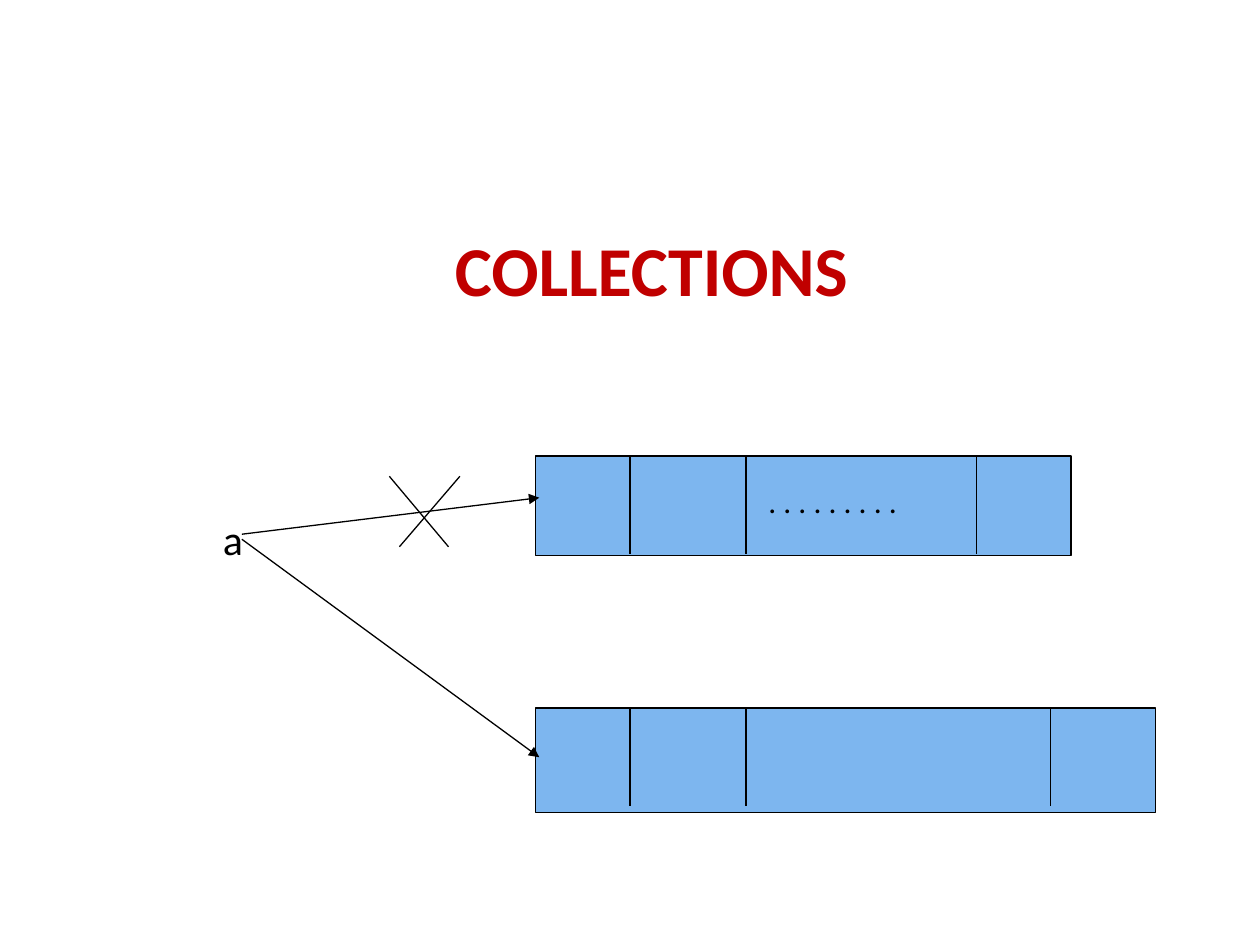
import pptx
import pptx.util
import pptx.dml.color
import pptx.enum.shapes
import pptx.enum.text
from lxml import etree
from pptx.util import Inches

RGBColor = pptx.dml.color.RGBColor
RED = RGBColor(0xC0, 0x00, 0x00)
BLUE = RGBColor(0x7D, 0xB6, 0xEF)
BLACK = RGBColor(0x00, 0x00, 0x00)
NS = "{http://schemas.openxmlformats.org/drawingml/2006/main}"


class Board:
    font = "Calibri"
    width = pptx.util.Pt(0.75)

    def __init__(self, slide):
        self.slide = slide

    def text(self, words, x, y, w, h, size, color=BLACK, bold=False, align="LEFT"):
        box = self.slide.shapes.add_textbox(Inches(x), Inches(y), Inches(w), Inches(h))
        box.text_frame.word_wrap = True
        par = box.text_frame.paragraphs[0]
        par.alignment = getattr(pptx.enum.text.PP_ALIGN, align)
        run = par.add_run()
        run.text = words
        run.font.name = self.font
        run.font.size = pptx.util.Pt(size)
        run.font.bold = bold
        run.font.color.rgb = color

    def block(self, x, y, w, h):
        kind = pptx.enum.shapes.MSO_SHAPE.RECTANGLE
        box = self.slide.shapes.add_shape(kind, Inches(x), Inches(y), Inches(w), Inches(h))
        box.shadow.inherit = False
        box.fill.solid()
        box.fill.fore_color.rgb = BLUE
        box.line.color.rgb = BLACK
        box.line.width = self.width

    def line(self, x1, y1, x2, y2, arrow=False):
        kind = pptx.enum.shapes.MSO_CONNECTOR.STRAIGHT
        line = self.slide.shapes.add_connector(
            kind, Inches(x1), Inches(y1), Inches(x2), Inches(y2))
        line.line.color.rgb = BLACK
        line.line.width = self.width
        if arrow:
            etree.SubElement(line.line._get_or_add_ln(), NS + "tailEnd", type="triangle")
        etree.SubElement(line._element.spPr, NS + "effectLst")

    def array(self, y, w, h, cuts):
        self.block(4.25, y, w, h)
        for x in cuts:
            self.line(x, y, x, y + 0.78)


def main():
    deck = pptx.Presentation()
    deck.slide_width, deck.slide_height = Inches(10), Inches(7.5)
    board = Board(deck.slides.add_slide(deck.slide_layouts[6]))

    # Title
    board.text("COLLECTIONS", -0.83, 1.75, 12, 1.25, 40, RED, True, "CENTER")

    # Old array and the larger new one
    board.array(3.62, 4.25, 0.79, (5, 5.92, 7.75))
    board.text(". . . . . . . . .", 6, 3.78, 1.71, 0.4, 18)
    board.array(5.62, 4.92, 0.83, (5, 5.92, 8.34))

    # Variable with its old and new reference
    board.line(1.92, 4.24, 4.28, 3.95, arrow=True)
    board.line(1.92, 4.28, 4.28, 6.01, arrow=True)
    board.text("a", 1.67, 4.03, 0.64, 0.48, 24)

    # Cross over the old reference
    board.line(3.65, 3.78, 3.17, 4.34)
    board.line(3.09, 3.78, 3.56, 4.34)

    deck.save("out.pptx")


if __name__ == "__main__":
    main()
